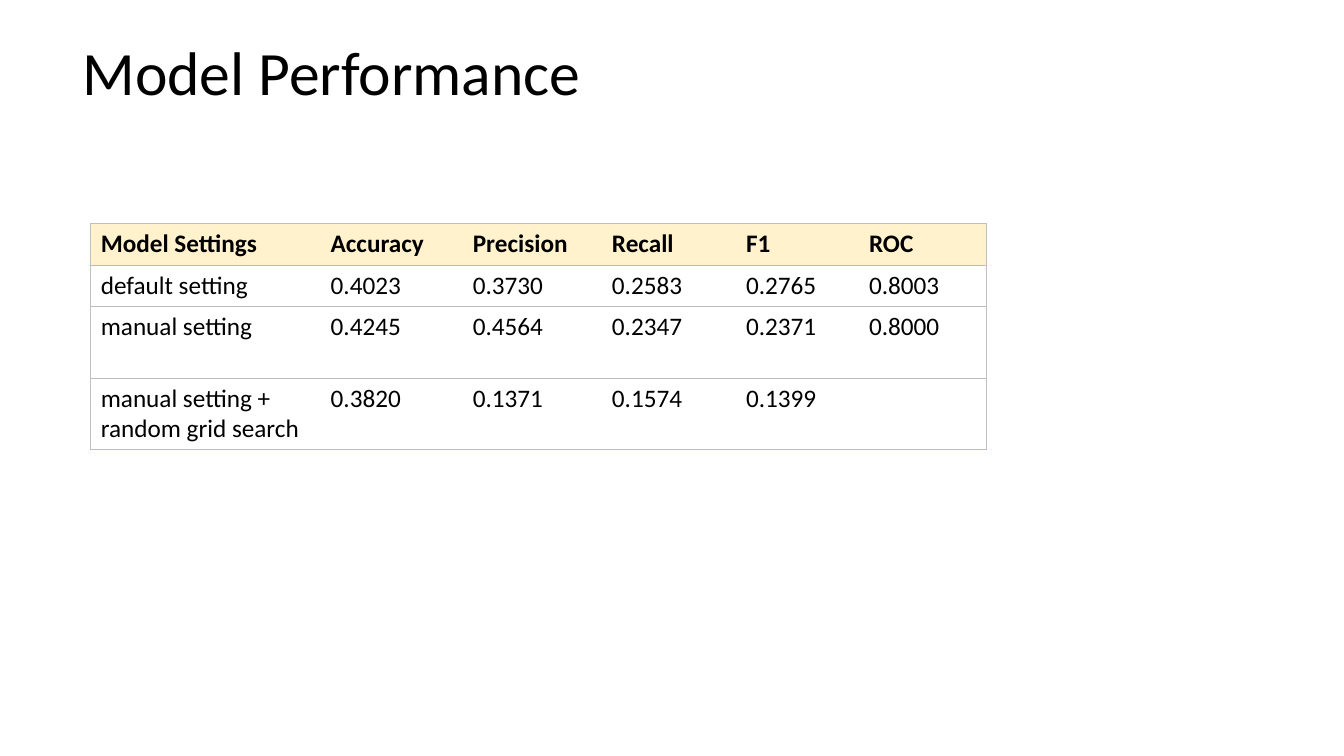
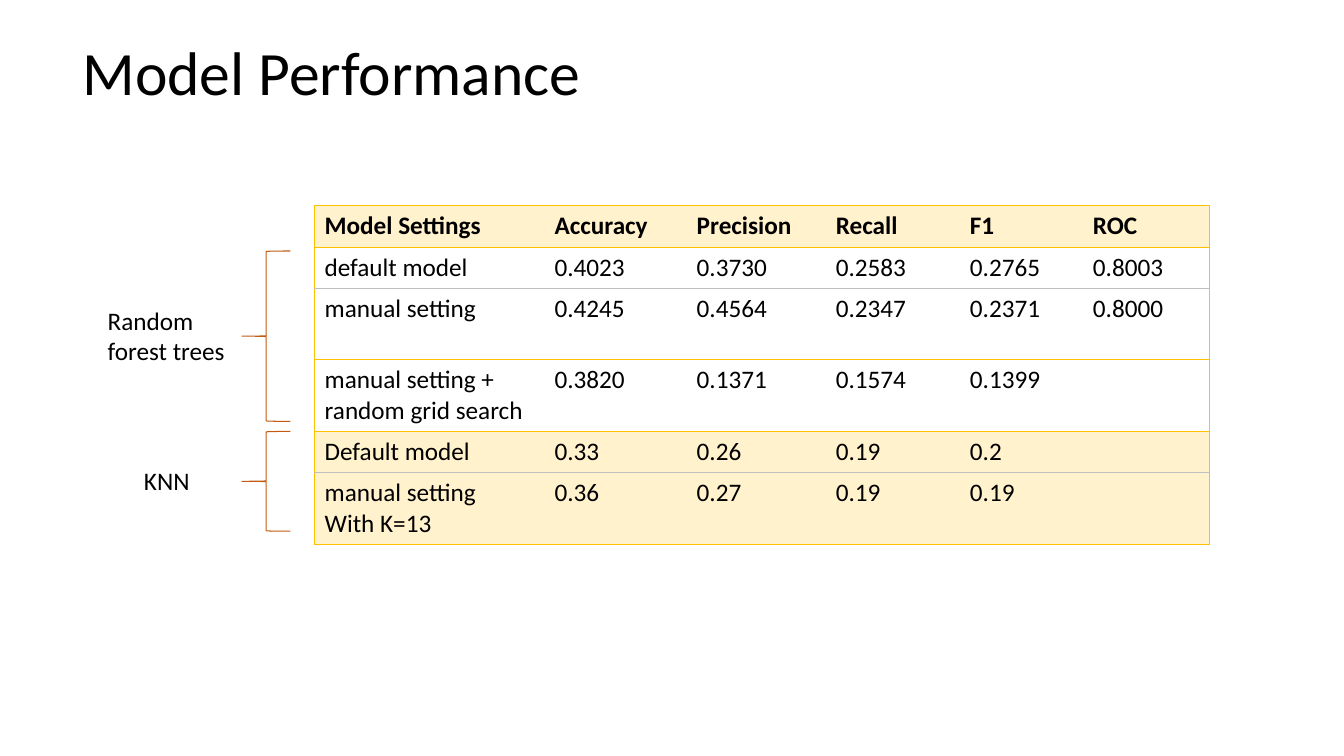
"""Build two slides that compare model performance in tables."""
from dataclasses import dataclass

from pptx import Presentation
from pptx import util as u
from pptx.dml.color import RGBColor
from pptx.enum import shapes, text
from pptx.oxml import ns, xmlchemy as xc

PX = 9144
FONT = "Calibri"
BLACK = RGBColor(0x00, 0x00, 0x00)
CREAM = RGBColor(0xFF, 0xF2, 0xCC)
GOLD = RGBColor(0xFF, 0xC0, 0x00)
GREY = RGBColor(0xBF, 0xBF, 0xBF)
RUST = RGBColor(0xC5, 0x5A, 0x11)
PLAIN = "{2D5ABB26-0587-4C30-8999-92F81FD0307C}"
COLS = (228, 141, 138, 133, 122, 126)
LOW, HIGH = 41, 71

HEAD = ("Model Settings", "Accuracy", "Precision", "Recall", "F1", "ROC")
BASE = ("0.4023", "0.3730", "0.2583", "0.2765", "0.8003")
TREES = (
    ("manual setting", "0.4245", "0.4564", "0.2347", "0.2371", "0.8000"),
    ("manual setting + random grid search", "0.3820", "0.1371", "0.1574", "0.1399", ""),
)
KNN = (
    ("Default model", "0.33", "0.26", "0.19", "0.2", ""),
    ("manual setting\nWith K=13", "0.36", "0.27", "0.19", "0.19", ""),
)


@dataclass(frozen=True)
class Grid:
    left: int
    top: int
    rows: tuple[tuple[str, ...], ...]
    highs: tuple[int, ...]
    tints: tuple[int, ...]
    rules: tuple[RGBColor, ...]
    side: RGBColor


@dataclass(frozen=True)
class Group:
    name: str
    left: int
    top: int
    high: int
    arm: int
    span: int


GRIDS = (
    Grid(90, 222, (HEAD, ("default setting", *BASE), *TREES),
         (LOW, LOW, HIGH, HIGH), (0,),
         (GREY, GOLD, GREY, GREY, GOLD), GREY),
    Grid(312, 204, (HEAD, ("default model", *BASE), *TREES, *KNN),
         (LOW, LOW, HIGH, HIGH, LOW, HIGH), (0, 4, 5),
         (GOLD, GOLD, GREY, GOLD, GOLD, GREY, GOLD), GOLD),
)
GROUPS = (
    Group("Random forest trees", 97, 298, 71, 249, 169),
    Group("KNN", 133, 457, 40, 428, 99),
)


def put(frame, words: str, size: int = 18, bold: bool = False,
        space: float | None = None) -> None:
    """Write each line of words as one paragraph of the frame."""
    for i, line in enumerate(words.split("\n")):
        par = frame.add_paragraph() if i else frame.paragraphs[0]
        par.line_spacing = space
        par.font.size = u.Pt(size)
        if line:
            run = par.add_run()
            run.text = line
            run.font.name = FONT
            run.font.size = u.Pt(size)
            run.font.bold = bold
            run.font.color.rgb = BLACK


def add_box(slide, left: int, top: int, wide: int, high: int, words: str,
            mid: bool = False, **style) -> None:
    """Add a wrapped text box."""
    box = slide.shapes.add_textbox(left * PX, top * PX, wide * PX, high * PX)
    frame = box.text_frame
    frame.word_wrap = True
    if mid:
        frame.vertical_anchor = text.MSO_ANCHOR.MIDDLE
    put(frame, words, **style)


def edge(cell, sides: dict[str, RGBColor | None]) -> None:
    """Draw the borders of a cell, in the order left, right, top, bottom."""
    props = cell._tc.get_or_add_tcPr()
    for i, (side, color) in enumerate(sides.items()):
        line = xc.OxmlElement(f"a:ln{side}")
        line.set("w", str(u.Pt(0.75)))
        if color is None:
            line.append(xc.OxmlElement("a:noFill"))
        else:
            fill = xc.OxmlElement("a:solidFill")
            tone = xc.OxmlElement("a:srgbClr")
            tone.set("val", str(color))
            fill.append(tone)
            line.append(fill)
        props.insert(i, line)


def add_grid(slide, grid: Grid) -> None:
    """Add a table with its tinted rows and ruled lines."""
    shape = slide.shapes.add_table(
        len(grid.rows), len(COLS), grid.left * PX, grid.top * PX,
        sum(COLS) * PX, sum(grid.highs) * PX)
    table = shape.table
    table.horz_banding = False
    table._tbl.tblPr.find(ns.qn("a:tableStyleId")).text = PLAIN
    for col, wide in zip(table.columns, COLS):
        col.width = wide * PX
    for r, (row, high) in enumerate(zip(grid.rows, grid.highs)):
        table.rows[r].height = high * PX
        for c, words in enumerate(row):
            cell = table.cell(r, c)
            put(cell.text_frame, words, bold=r == 0)
            if r in grid.tints:
                cell.fill.solid()
                cell.fill.fore_color.rgb = CREAM
            else:
                cell.fill.background()
            edge(cell, {
                "L": grid.side if c == 0 else None,
                "R": grid.side if c == len(COLS) - 1 else None,
                "T": grid.rules[r],
                "B": grid.rules[r + 1],
            })


def add_group(slide, group: Group) -> None:
    """Add a bracket beside the table rows, with its label."""
    arm = slide.shapes.add_shape(
        shapes.MSO_SHAPE.LEFT_BRACE, 240 * PX, group.arm * PX, 48 * PX, group.span * PX)
    arm.shadow.inherit = False
    arm.adjustments[0] = 0.01
    arm.adjustments[1] = 0.5
    arm.fill.background()
    arm.line.color.rgb = RUST
    arm.line.width = u.Pt(0.75)
    add_box(slide, group.left, group.top, 167, group.high, group.name)


def main() -> None:
    """Build and save the deck."""
    deck = Presentation()
    deck.slide_width, deck.slide_height = 1333 * PX, 750 * PX
    for grid, groups in zip(GRIDS, ((), GROUPS)):
        slide = deck.slides.add_slide(deck.slide_layouts[6])
        add_box(slide, 72, 2, 1150, 145, "Model Performance", mid=True, size=44, space=0.9)
        add_grid(slide, grid)
        for group in groups:
            add_group(slide, group)
    deck.save("out.pptx")


if __name__ == "__main__":
    main()
